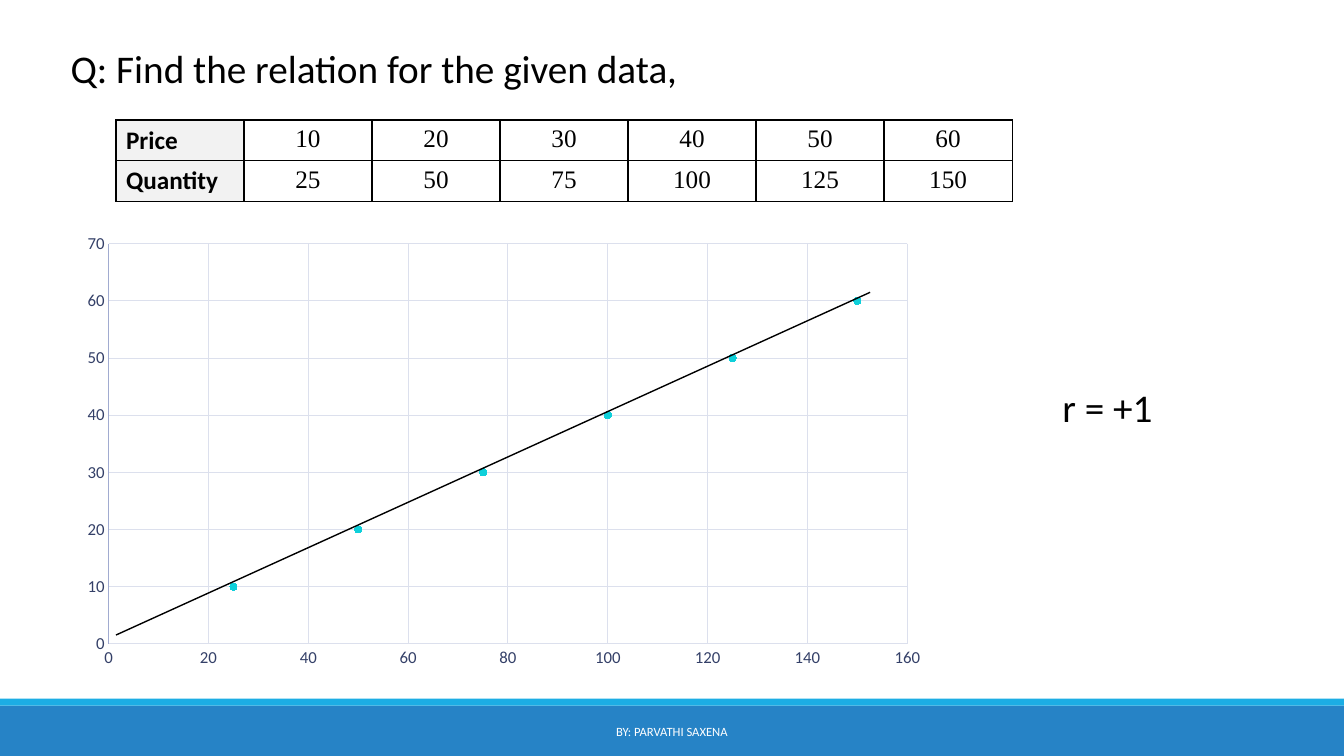
"""Build a slide that relates price and quantity with a table and a scatter chart."""
from dataclasses import dataclass

from lxml.etree import SubElement
from pptx import Presentation
from pptx.chart.data import XyChartData
from pptx.dml.color import RGBColor
from pptx.enum.chart import XL_CHART_TYPE as ChartType, XL_MARKER_STYLE as MarkerStyle
from pptx.enum.chart import XL_TICK_MARK as TickMark
from pptx.enum.shapes import MSO_CONNECTOR as Connector, MSO_SHAPE as Shape
from pptx.enum.text import MSO_ANCHOR as Anchor, PP_ALIGN as Align
from pptx.oxml import parse_xml
from pptx.oxml.ns import nsdecls, qn
from pptx.util import Inches, Pt

COLORS = {
    "text": "000000", "light": "FFFFFF", "header": "F2F2F2",
    "bar": "2683C6", "strip": "1CADE4", "marker": "0FD0DA",
    "label": "344068", "grid": "DCE0ED", "axis": "A1ABD0",
}
SLIDE_WIDTH, SLIDE_HEIGHT = Inches(13.33), Inches(7.5)
SANS, SERIF = "Calibri", "Times New Roman"
PRICES = [10, 20, 30, 40, 50, 60]
QUANTITIES = [25, 50, 75, 100, 125, 150]


def across(percent: float) -> int:
    return round(SLIDE_WIDTH * percent / 100)


def down(percent: float) -> int:
    return round(SLIDE_HEIGHT * percent / 100)


@dataclass(frozen=True)
class Box:
    """Hold a place as percentages of the slide's width and height."""
    left: float
    top: float
    width: float
    height: float

    def lengths(self) -> tuple[int, int, int, int]:
        return across(self.left), down(self.top), across(self.width), down(self.height)


@dataclass(frozen=True)
class Style:
    size: float
    color: str = "text"
    font: str = SANS
    bold: bool = False
    align: Align = Align.LEFT
    anchor: Anchor = Anchor.TOP


@dataclass(frozen=True)
class Bar:
    box: Box
    color: str


@dataclass(frozen=True)
class Label:
    box: Box
    text: str
    style: Style


@dataclass(frozen=True)
class DataRow:
    name: str
    values: list[int]


BARS = [
    Bar(Box(0, 93.33, 100, 6.67), "bar"),
    Bar(Box(0, 92.4, 100, 0.93), "strip"),
]
LARGE = Style(28)
TITLE = Label(Box(4.5, 5.2, 51.09, 7.6), "Q: Find the relation for the given data,", LARGE)
LABELS = [
    Label(Box(77.64, 50, 11.18, 7.6), " r = +1", LARGE),
    Label(Box(30.23, 94.13, 39.53, 5.33), "BY: PARVATHI SAXENA",
          Style(9, "light", align=Align.CENTER, anchor=Anchor.MIDDLE)),
]
ROWS = [DataRow("Price", PRICES), DataRow("Quantity", QUANTITIES)]
TABLE_BOX = Box(8.63, 15.87, 66.69, 10.8)
CHART_BOX = Box(5.25, 29.73, 64.52, 59.87)
PLOT_SHARES = {"x": 0.044, "y": 0.042, "w": 0.921, "h": 0.884}
TREND_START, TREND_END = (8.63, 84), (64.74, 38.67)


def rgb(name: str) -> RGBColor:
    return RGBColor.from_string(COLORS[name])


def write(frame, text: str, style: Style) -> None:
    paragraph = frame.paragraphs[0]
    paragraph.alignment = style.align
    run = paragraph.add_run()
    run.text = text
    run.font.size = Pt(style.size)
    run.font.name = style.font
    run.font.bold = style.bold
    run.font.color.rgb = rgb(style.color)


def fill_label(shape, label: Label) -> None:
    shape.left, shape.top, shape.width, shape.height = label.box.lengths()
    shape.text_frame.word_wrap = True
    shape.text_frame.vertical_anchor = label.style.anchor
    write(shape.text_frame, label.text, label.style)


def add_bar(slide, bar: Bar) -> None:
    shape = slide.shapes.add_shape(Shape.RECTANGLE, *bar.box.lengths())
    shape.shadow.inherit = False
    shape.fill.solid()
    shape.fill.fore_color.rgb = rgb(bar.color)
    shape.line.fill.background()


def add_borders(cell) -> None:
    properties = cell._tc.get_or_add_tcPr()
    for position, side in enumerate(("lnL", "lnR", "lnT", "lnB")):
        properties.insert(position, parse_xml(
            f'<a:{side} {nsdecls("a")} w="{Pt(1)}"><a:solidFill>'
            f'<a:srgbClr val="{COLORS["text"]}"/></a:solidFill></a:{side}>'))


def add_data_table(slide, rows: list[DataRow], box: Box) -> None:
    columns = len(rows[0].values) + 1
    table = slide.shapes.add_table(len(rows), columns, *box.lengths()).table
    table.first_row = table.horz_banding = False
    header = Style(18, bold=True)
    number = Style(18, font=SERIF, align=Align.CENTER)
    for row_index, row in enumerate(rows):
        for column, value in enumerate([row.name, *row.values]):
            cell = table.cell(row_index, column)
            if column == 0:
                cell.fill.solid()
                cell.fill.fore_color.rgb = rgb("header")
            else:
                cell.fill.background()
            write(cell.text_frame, str(value), number if column else header)
            add_borders(cell)


def format_axis(axis, maximum: int, step: int, line: str) -> None:
    axis.minimum_scale, axis.maximum_scale, axis.major_unit = 0, maximum, step
    axis.major_tick_mark = axis.minor_tick_mark = TickMark.NONE
    axis.has_major_gridlines = True
    for axis_format, color in ((axis.format, line), (axis.major_gridlines.format, "grid")):
        axis_format.line.color.rgb = rgb(color)
        axis_format.line.width = Pt(0.75)
    font = axis.tick_labels.font
    font.size, font.name = Pt(12), SANS
    font.color.rgb = rgb("label")


def add_scatter(slide, box: Box) -> None:
    data = XyChartData()
    points = data.add_series("Series 1")
    for quantity, price in zip(QUANTITIES, PRICES):
        points.add_data_point(quantity, price)
    chart = slide.shapes.add_chart(ChartType.XY_SCATTER, *box.lengths(), data).chart
    chart.has_legend = chart.has_title = False
    chart.font.size, chart.font.name = Pt(10), SANS
    chart.font.color.rgb = rgb("text")
    format_axis(chart.category_axis, 160, 20, "grid")
    format_axis(chart.value_axis, 70, 10, "axis")
    plot = chart.plots[0]
    plot.vary_by_categories = False
    series = plot.series[0]
    series.smooth = False
    series.format.line.fill.background()
    series.marker.style, series.marker.size = MarkerStyle.CIRCLE, 5
    series.marker.format.fill.solid()
    series.marker.format.fill.fore_color.rgb = rgb("marker")
    series.marker.format.line.fill.background()
    plot_area = chart._chartSpace.chart.plotArea
    for old_layout in plot_area.findall(qn("c:layout")):
        plot_area.remove(old_layout)
    settings = {"layoutTarget": "inner", "xMode": "edge", "yMode": "edge", **PLOT_SHARES}
    layout = parse_xml(f'<c:layout {nsdecls("c")}><c:manualLayout/></c:layout>')
    for name, value in settings.items():
        SubElement(layout[0], qn(f"c:{name}")).set("val", str(value))
    plot_area.insert(0, layout)


def add_trend(slide, start: tuple[float, float], end: tuple[float, float]) -> None:
    line = slide.shapes.add_connector(
        Connector.STRAIGHT, across(start[0]), down(start[1]), across(end[0]), down(end[1]))
    line.line.color.rgb = rgb("text")
    line.line.width = Pt(1)
    SubElement(line._element.spPr, qn("a:effectLst"))


def main() -> None:
    presentation = Presentation()
    presentation.slide_width, presentation.slide_height = SLIDE_WIDTH, SLIDE_HEIGHT
    slide = presentation.slides.add_slide(presentation.slide_layouts[5])
    for bar in BARS:
        add_bar(slide, bar)
    fill_label(slide.shapes.title, TITLE)
    add_data_table(slide, ROWS, TABLE_BOX)
    add_scatter(slide, CHART_BOX)
    add_trend(slide, TREND_START, TREND_END)
    for label in LABELS:
        fill_label(slide.shapes.add_textbox(*label.box.lengths()), label)
    presentation.save("out.pptx")


if __name__ == "__main__":
    main()
